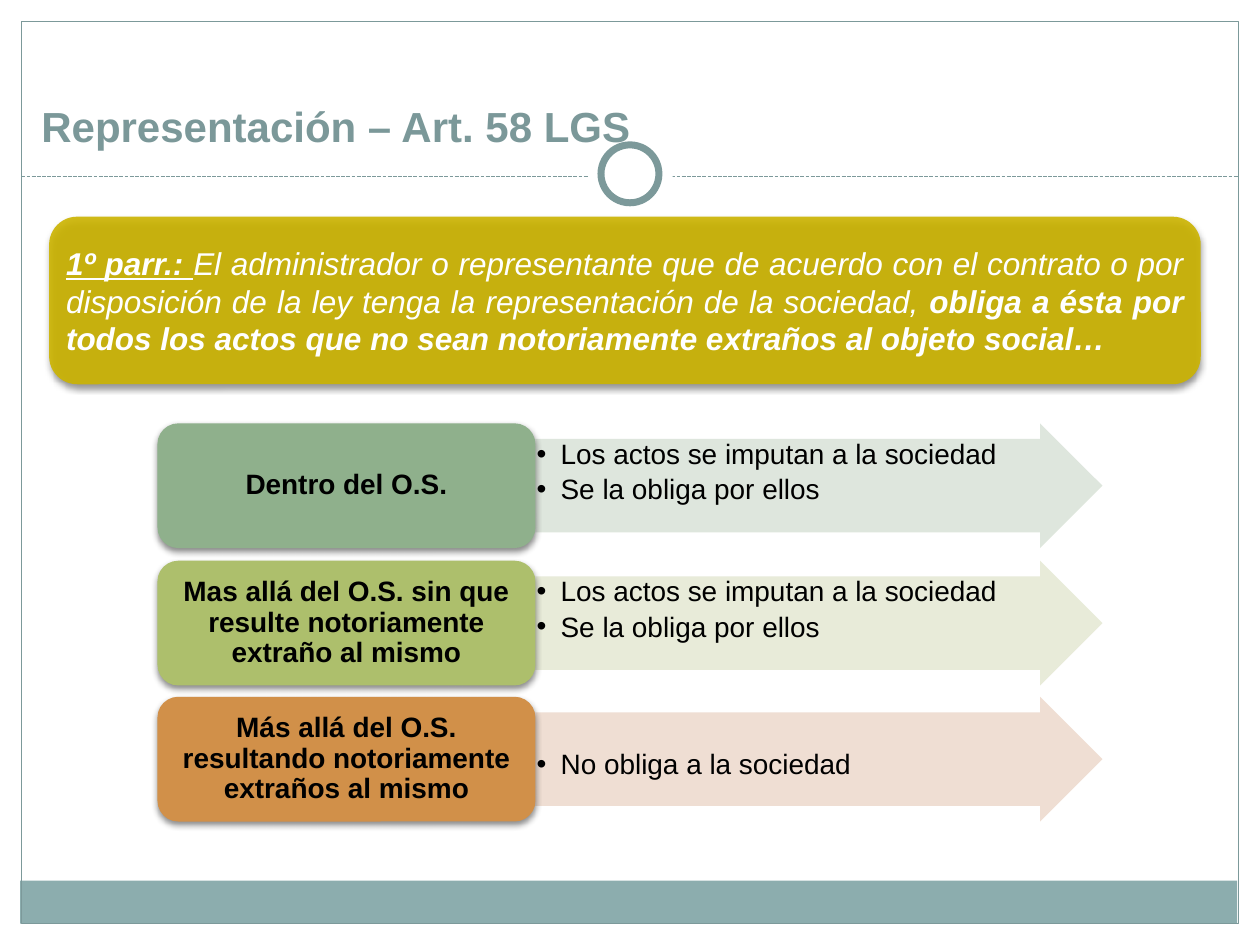
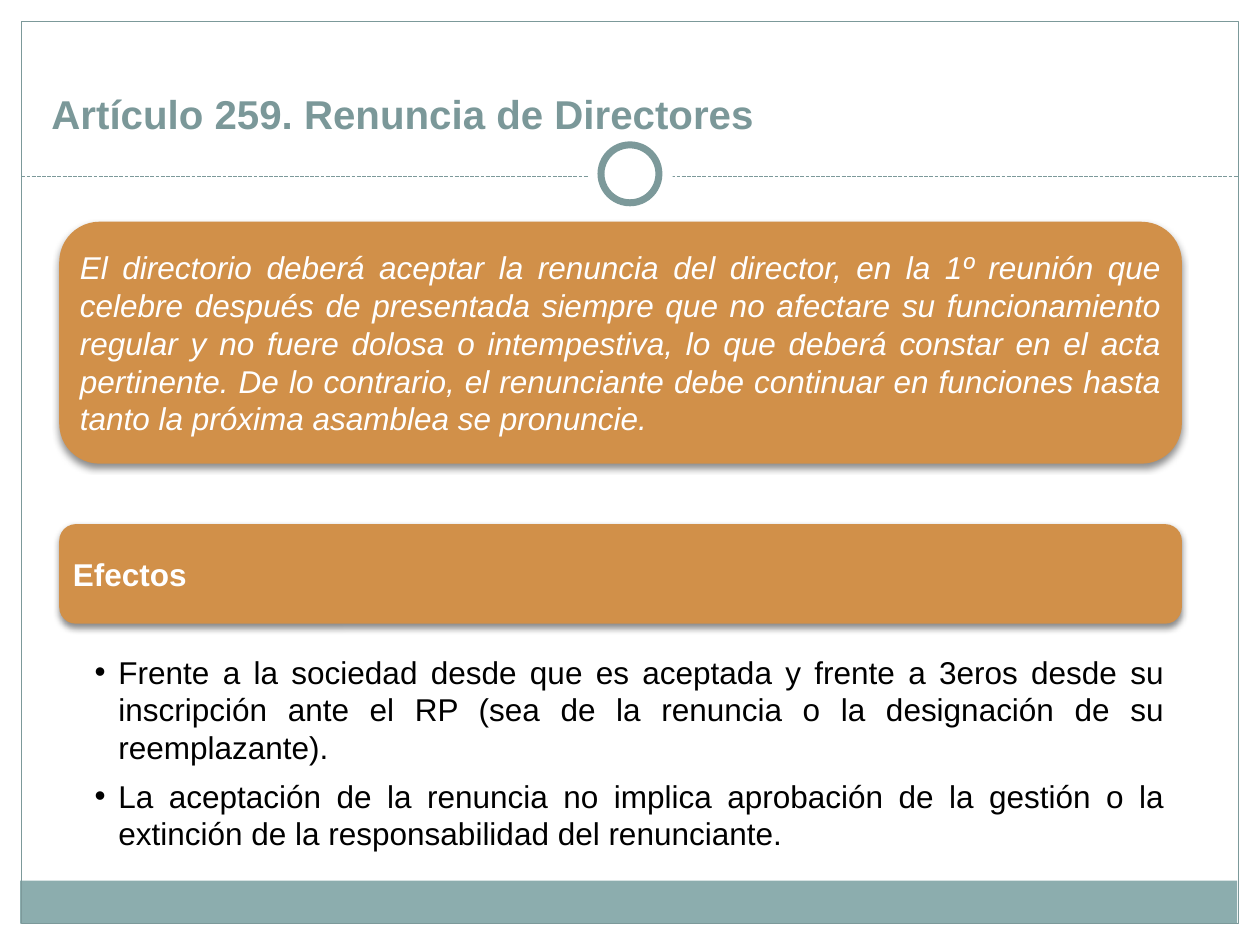
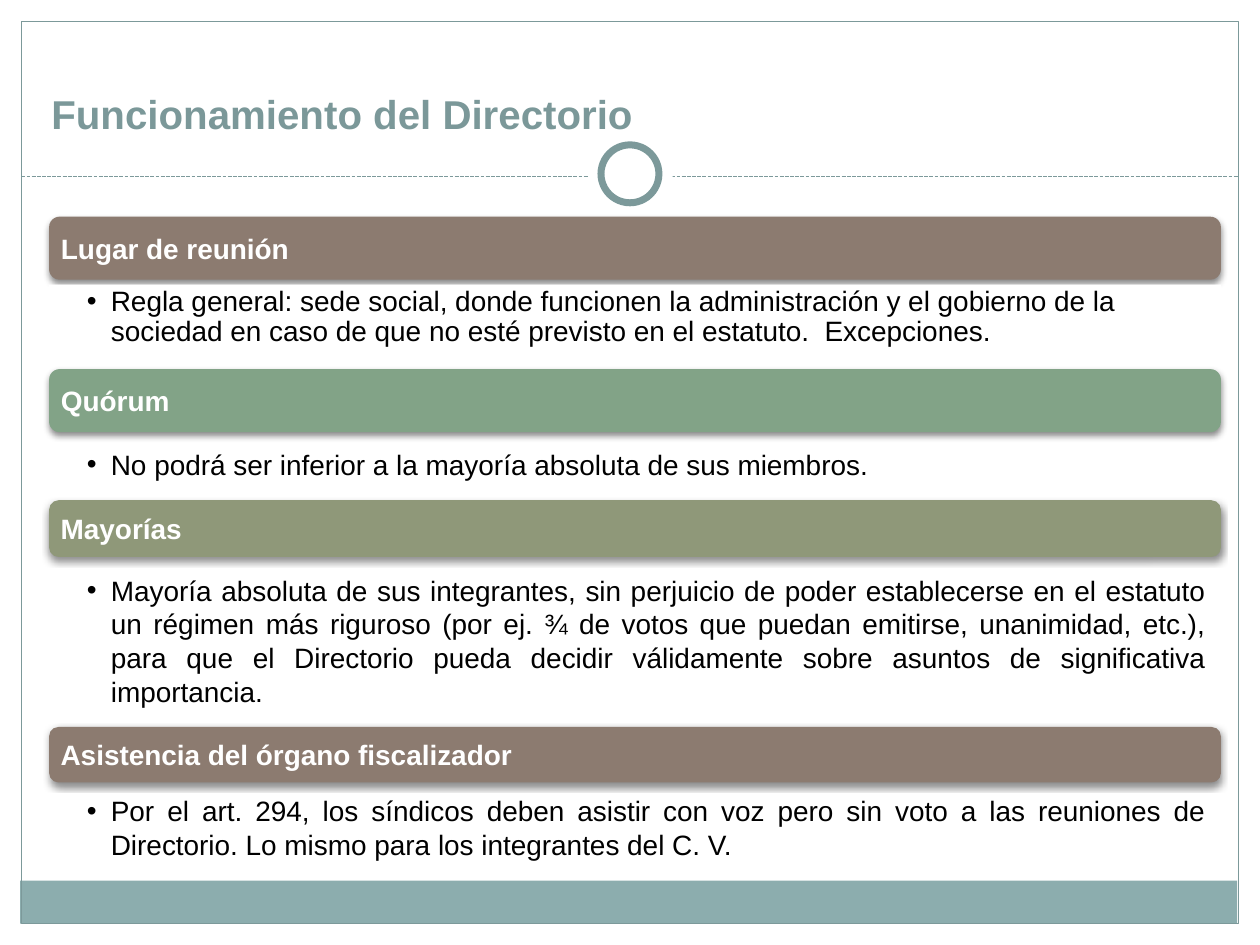
from dataclasses import dataclass, field
from typing import Any, Optional

from lxml.etree import SubElement
from pptx import Presentation
from pptx.dml.color import RGBColor
from pptx.enum.dml import MSO_LINE
from pptx.enum.shapes import MSO_CONNECTOR, MSO_SHAPE
from pptx.enum.text import MSO_ANCHOR, PP_ALIGN
from pptx.oxml.ns import qn
from pptx.util import Emu, Pt

PX = 9144  # 100 px to the inch
FONT = "Arial"
WHITE, BLACK = "FFFFFF", "000000"
TITLE, FRAME, FOOTER = "7B9899", "7C999A", "8CADAE"
OCHRE, ORANGE, BROWN = "CCB400", "D19049", "8C7B70"
EVEN_INSETS = (7, 7, 7, 7)


@dataclass
class Run:
    text: str
    size: int
    color: str = BLACK
    style: dict[str, bool] = field(default_factory=dict)


@dataclass
class Para:
    runs: list[Run]
    align: PP_ALIGN = PP_ALIGN.JUSTIFY
    bullet: bool = False
    line: float = 1.0
    after: float = 6


@dataclass
class Box:
    left: int
    top: int
    width: int
    height: int
    paras: list[Para]
    shape: Optional[MSO_SHAPE] = None
    fill: Optional[str] = None
    alpha: int = 100
    shadow: bool = False
    insets: tuple[int, int, int, int] = (10, 5, 10, 5)
    anchor: MSO_ANCHOR = MSO_ANCHOR.TOP


@dataclass
class Section:
    """A coloured heading bar with a bulleted text below it."""
    heading: str
    color: str
    top: int
    height: int
    body: str
    body_top: int
    body_height: int
    align: PP_ALIGN = PP_ALIGN.JUSTIFY
    line: float = 1.0
    body_fill: Optional[str] = None


@dataclass
class Case:
    name: str
    color: str
    arrow_color: str
    effects: list[str]
    arrow_inset: int = 1


def px(*lengths: int) -> list[Emu]:
    return [Emu(n * PX) for n in lengths]


def rgb(color: str) -> RGBColor:
    return RGBColor.from_string(color)


def set_all(target: Any, values: dict[str, Any]) -> None:
    for name, value in values.items():
        setattr(target, name, value)


def add_plain(slide, kind: MSO_SHAPE, at: tuple[int, int, int, int],
              fill: Optional[str] = None, line: Optional[str] = None,
              weight: float = 0.75):
    sp = slide.shapes.add_shape(kind, *px(*at))
    sp.shadow.inherit = False
    if fill:
        sp.fill.solid()
        sp.fill.fore_color.rgb = rgb(fill)
    else:
        sp.fill.background()
    if line:
        sp.line.color.rgb = rgb(line)
        sp.line.width = Pt(weight)
    else:
        sp.line.fill.background()
    return sp


def set_alpha(sp, percent: int) -> None:
    clr = sp._element.spPr.find(qn("a:solidFill"))[0]
    SubElement(clr, qn("a:alpha"), val=str(percent * 1000))


def add_shadow(sp) -> None:
    effects = sp._element.spPr.find(qn("a:effectLst"))
    shadow = SubElement(effects, qn("a:outerShdw"), blurRad=str(Pt(4)),
                        dist=str(Pt(2)), dir="5400000", rotWithShape="0")
    clr = SubElement(shadow, qn("a:srgbClr"), val=BLACK)
    SubElement(clr, qn("a:alpha"), val="45000")


def write_para(p, para: Para) -> None:
    if para.bullet:
        pPr = p._p.get_or_add_pPr()
        pPr.set("marL", str(19 * PX))
        pPr.set("indent", str(-19 * PX))
        SubElement(pPr, qn("a:buFont"), typeface=FONT)
        SubElement(pPr, qn("a:buChar"), char="•")
    set_all(p, {"alignment": para.align, "line_spacing": para.line,
                "space_after": Pt(para.after)})
    for run in para.runs:
        r = p.add_run()
        r.text = run.text
        set_all(r.font, {"name": FONT, "size": Pt(run.size), **run.style})
        r.font.color.rgb = rgb(run.color)


def add_box(slide, box: Box) -> None:
    at = (box.left, box.top, box.width, box.height)
    if box.shape is None:
        sp = slide.shapes.add_textbox(*px(*at))
        if box.fill:
            sp.fill.solid()
            sp.fill.fore_color.rgb = rgb(box.fill)
    else:
        sp = add_plain(slide, box.shape, at, box.fill)
        if box.shape == MSO_SHAPE.RIGHT_ARROW:
            sp.adjustments[0] = 0.75
        if box.alpha < 100:
            set_alpha(sp, box.alpha)
        if box.shadow:
            add_shadow(sp)
    tf = sp.text_frame
    sides = ("margin_left", "margin_top", "margin_right", "margin_bottom")
    set_all(tf, {"word_wrap": True, "vertical_anchor": box.anchor,
                 **dict(zip(sides, px(*box.insets)))})
    for i, para in enumerate(box.paras):
        write_para(tf.add_paragraph() if i else tf.paragraphs[0], para)


def add_card(slide, at: tuple[int, int, int, int], fill: str, para: Para,
             insets: tuple[int, int, int, int] = EVEN_INSETS,
             alpha: int = 100) -> None:
    """Rounded, shadowed box with its text in the middle."""
    add_box(slide, Box(*at, [para], MSO_SHAPE.ROUNDED_RECTANGLE, fill, alpha,
                       True, insets, MSO_ANCHOR.MIDDLE))


def new_slide(prs, title: str, left: int = 31, top: int = 31, size: int = 23):
    """Blank slide with the frame, footer band, ring and title."""
    s = prs.slides.add_slide(prs.slide_layouts[6])
    add_plain(s, MSO_SHAPE.RECTANGLE, (16, 699, 966, 34), FOOTER)
    add_plain(s, MSO_SHAPE.RECTANGLE, (17, 17, 966, 716), line=FRAME)
    rule = s.shapes.add_connector(MSO_CONNECTOR.STRAIGHT, *px(17, 140, 983, 140))
    rule.line.color.rgb = rgb(FRAME)
    set_all(rule.line, {"width": Pt(0.75), "dash_style": MSO_LINE.SQUARE_DOT})
    SubElement(rule._element.spPr, qn("a:effectLst"))
    add_plain(s, MSO_SHAPE.OVAL, (467, 105, 67, 67), WHITE)
    add_plain(s, MSO_SHAPE.OVAL, (477, 115, 46, 46), WHITE, FRAME, 4)
    heading = Para([Run(title, size, TITLE, {"bold": True})], PP_ALIGN.LEFT, after=0)
    add_box(s, Box(left, top, 933, 83, [heading], anchor=MSO_ANCHOR.BOTTOM))
    return s


CASES = [
    Case("Dentro del O.S.", "8FB08C", "DBE4DA",
         ["Los actos se imputan a la sociedad", "Se la obliga por ellos"]),
    Case("Mas allá del O.S. sin que resulte notoriamente extraño al mismo",
         "ADBF6C", "E6E9D5",
         ["Los actos se imputan a la sociedad", "Se la obliga por ellos"]),
    Case("Más allá del O.S. resultando notoriamente extraños al mismo",
         ORANGE, "EEDBCF", ["No obliga a la sociedad"], arrow_inset=30),
]

SECTIONS = [
    Section("Lugar de reunión", BROWN, 172, 50,
            "Regla general: sede social, donde funcionen la administración y el "
            "gobierno de la sociedad en caso de que no esté previsto en el "
            "estatuto.  Excepciones.", 226, 79, PP_ALIGN.LEFT, 0.9, WHITE),
    Section("Quórum", "82A387", 293, 50,
            "No podrá ser inferior a la mayoría absoluta de sus miembros.", 353, 79),
    Section("Mayorías", "8F9879", 397, 45,
            "Mayoría absoluta de sus integrantes, sin perjuicio de poder "
            "establecerse en el estatuto un régimen más riguroso (por ej. ¾ de "
            "votos que puedan emitirse, unanimidad, etc.), para que el Directorio "
            "pueda decidir válidamente sobre asuntos de significativa "
            "importancia.", 453, 108),
    Section("Asistencia del órgano fiscalizador", BROWN, 577, 44,
            "Por el art. 294, los síndicos deben asistir con voz pero sin voto a "
            "las reuniones de Directorio. Lo mismo para los integrantes del C. V.",
            628, 91),
]


def representation_slide(prs) -> None:
    s = new_slide(prs, "Representación – Art. 58 LGS", 23, 42, 24)
    italic = {"italic": True}
    bold = {"italic": True, "bold": True}
    add_card(s, (39, 172, 914, 133), OCHRE, Para([
        Run("1º parr.: ", 18, WHITE, {**bold, "underline": True}),
        Run("El administrador o representante que de acuerdo con el contrato o "
            "por disposición de la ley tenga la representación de la sociedad, ",
            18, WHITE, italic),
        Run("obliga a ésta por todos los actos que no sean notoriamente extraños "
            "al objeto social…", 18, WHITE, bold)]), alpha=90)
    first, height, gap = 336, 99, 10
    for i, case in enumerate(CASES):
        top = first + i * (height + gap) - i // 2
        effects = [Para([Run(t, 16)], PP_ALIGN.LEFT, True, 0.9, 3)
                   for t in case.effects]
        add_box(s, Box(425, top, 450, height, effects, MSO_SHAPE.RIGHT_ARROW,
                       case.arrow_color, 90, insets=(1, case.arrow_inset, 1, 1)))
        name = Para([Run(case.name, 16, BLACK, {"bold": True})],
                    PP_ALIGN.CENTER, line=0.9)
        add_card(s, (125, top, 300, height), case.color, name, (7, 3, 7, 3))


def resignation_slide(prs) -> None:
    s = new_slide(prs, "Artículo 259. Renuncia de Directores")
    add_card(s, (47, 176, 891, 192), ORANGE, Para([Run(
        "El directorio deberá aceptar la renuncia del director, en la 1º reunión "
        "que celebre después de presentada siempre que no afectare su "
        "funcionamiento regular y no fuere dolosa o intempestiva, lo que deberá "
        "constar en el acta pertinente. De lo contrario, el renunciante debe "
        "continuar en funciones hasta tanto la próxima asamblea se pronuncie.",
        18, WHITE, {"italic": True})]))
    add_card(s, (47, 416, 891, 79), ORANGE,
             Para([Run("Efectos", 18, WHITE, {"bold": True})]))
    effects = [
        "Frente a la sociedad desde que es aceptada y frente a 3eros desde su "
        "inscripción ante el RP (sea de la renuncia o la designación de su "
        "reemplazante).",
        "La aceptación de la renuncia no implica aprobación de la gestión o la "
        "extinción de la responsabilidad del renunciante.",
    ]
    add_box(s, Box(47, 515, 891, 158,
                   [Para([Run(t, 18)], bullet=True) for t in effects],
                   insets=(28, 3, 14, 3)))


def board_slide(prs) -> None:
    s = new_slide(prs, "Funcionamiento del Directorio")
    left, width = 39, 930
    for sec in SECTIONS:
        add_card(s, (left, sec.top, width, sec.height), sec.color,
                 Para([Run(sec.heading, 16, WHITE, {"bold": True})]))
        body = Para([Run(sec.body, 16)], sec.align, True, sec.line)
        add_box(s, Box(left, sec.body_top, width, sec.body_height, [body],
                       fill=sec.body_fill, insets=(30, 2, 12, 2)))


def main() -> None:
    prs = Presentation()
    prs.slide_width, prs.slide_height = px(1000, 750)
    representation_slide(prs)
    resignation_slide(prs)
    board_slide(prs)
    prs.save("out.pptx")


if __name__ == "__main__":
    main()
